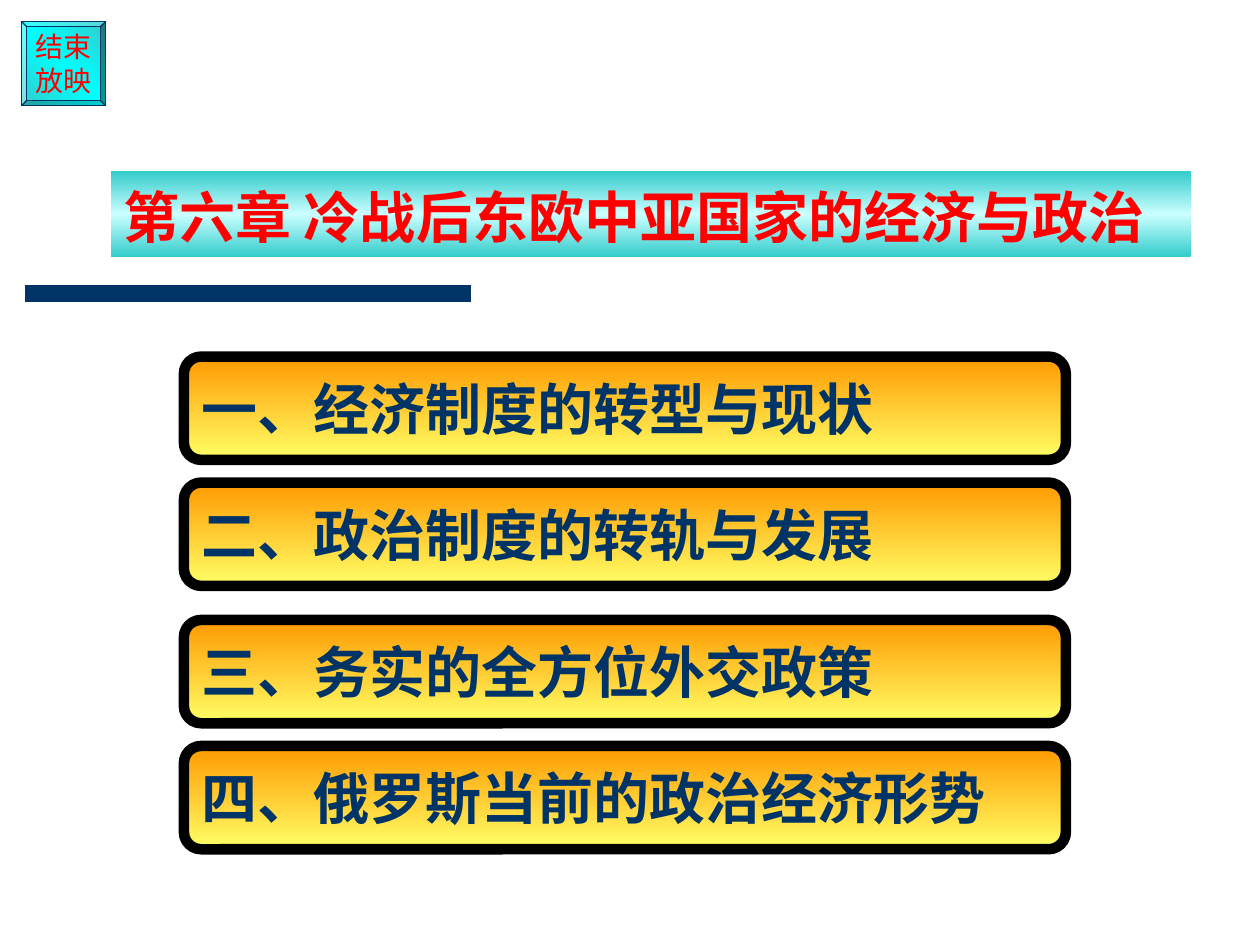
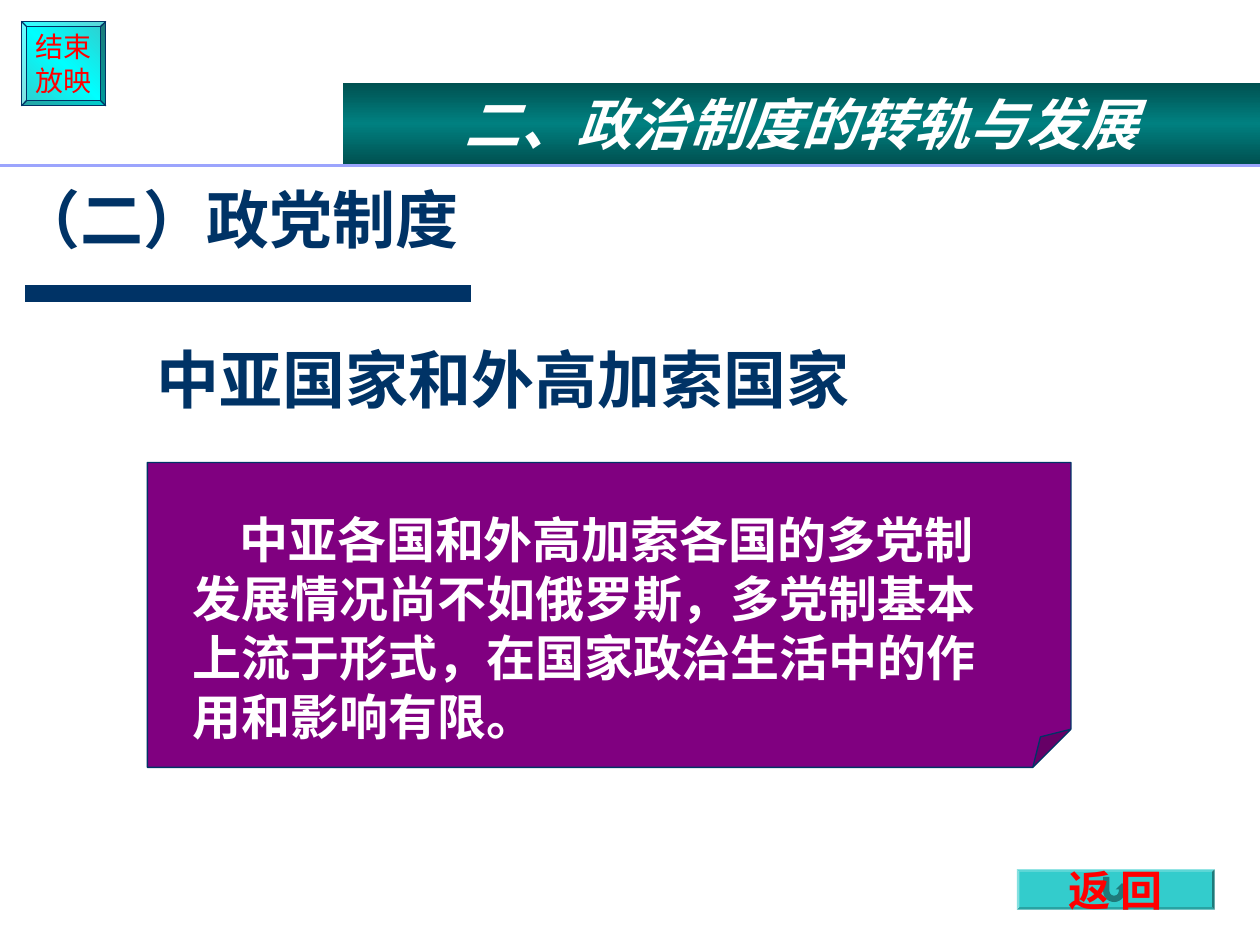
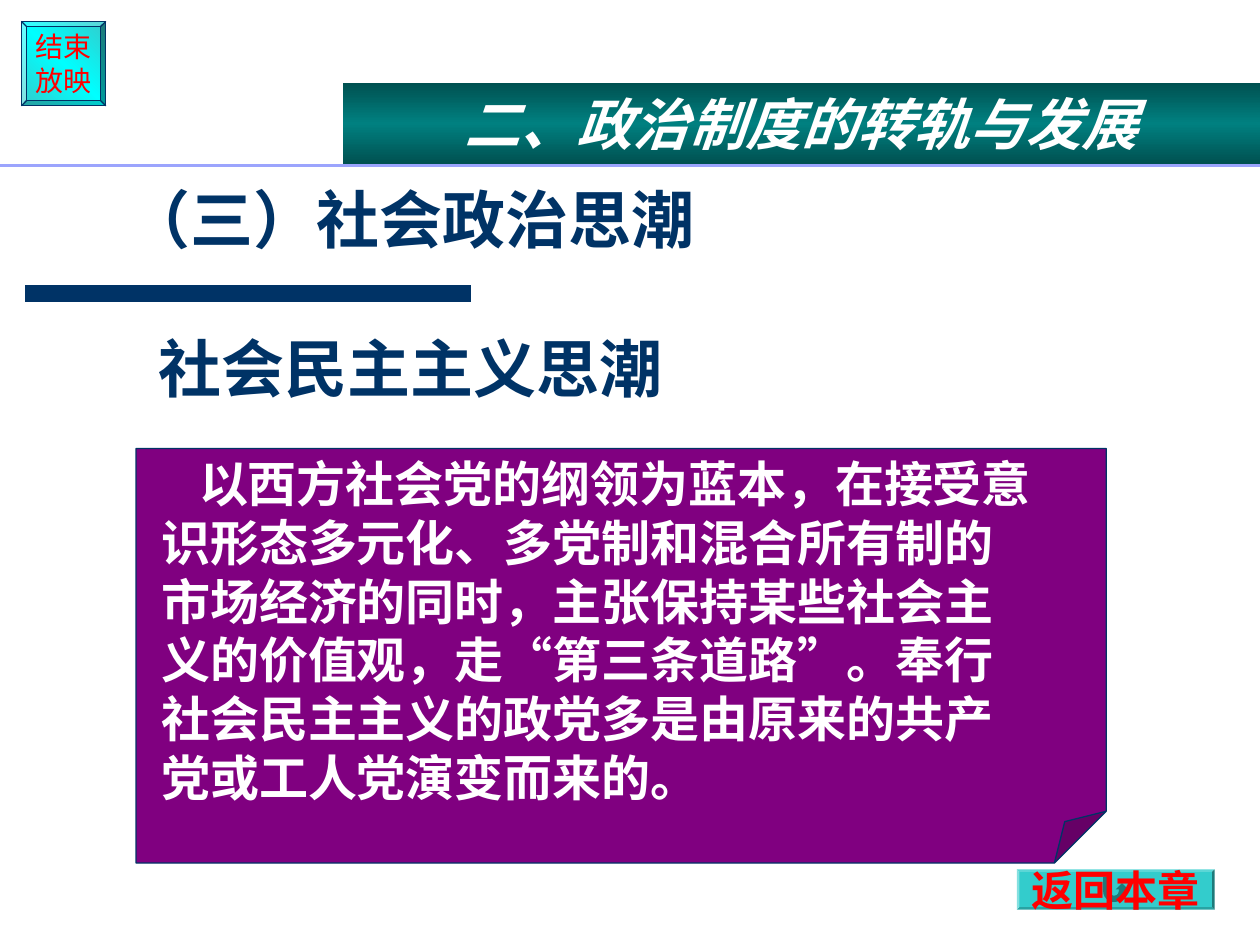
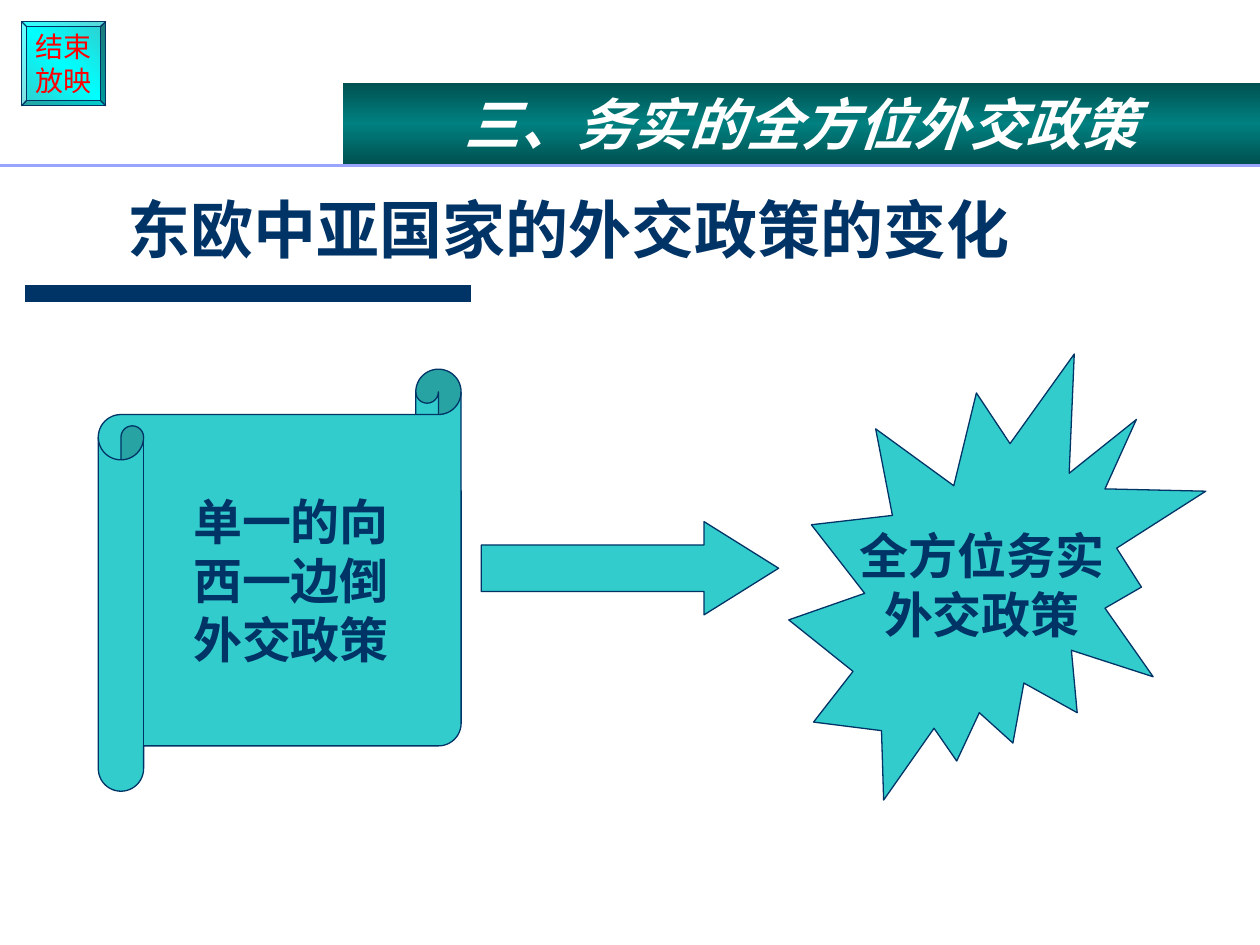
from copy import deepcopy

from lxml.etree import SubElement
from pptx import Presentation
from pptx.dml.color import RGBColor
from pptx.enum.shapes import MSO_CONNECTOR, MSO_SHAPE
from pptx.enum.text import MSO_ANCHOR, PP_ALIGN
from pptx.oxml.ns import qn
from pptx.util import Inches, Pt

NAVY = RGBColor(0x00, 0x33, 0x66)
TEAL = RGBColor(0x33, 0xCC, 0xCC)
DARK_TEAL = RGBColor(0x1F, 0x7A, 0x7A)
CYAN = RGBColor(0x00, 0xFF, 0xFF)
PALE_CYAN = RGBColor(0xCC, 0xFF, 0xFF)
BAND_EDGE = RGBColor(0x00, 0x51, 0x51)
BAND_MID = RGBColor(0x00, 0x80, 0x80)
ORANGE = RGBColor(0xFF, 0x99, 0x00)
YELLOW = RGBColor(0xFF, 0xFF, 0x66)
PURPLE = RGBColor(0x80, 0x00, 0x80)
PERIWINKLE = RGBColor(0x9B, 0xA4, 0xFD)
RED = RGBColor(0xFF, 0x00, 0x00)
WHITE = RGBColor(0xFF, 0xFF, 0xFF)
BLACK = RGBColor(0x00, 0x00, 0x00)

LATIN = "Arial"
CJK = "Noto Sans CJK SC"

SECTION_2 = "二、政治制度的转轨与发展"
SECTION_3 = "三、务实的全方位外交政策"
SECTIONS = ["一、经济制度的转型与现状", SECTION_2, SECTION_3, "四、俄罗斯当前的政治经济形势"]


# Shared helpers
def set_gradient(s, colors, angle):
    """Spread the colours evenly; angle is clockwise from left-to-right."""
    s.fill.gradient()
    s.fill.gradient_angle = 360 - angle
    stops = s._element.spPr.find(".//" + qn("a:gsLst"))
    for _ in colors[2:]:
        stops.append(deepcopy(stops[-1]))
    for i, (stop, color) in enumerate(zip(s.fill.gradient_stops, colors)):
        stop.position = i / (len(colors) - 1)
        stop.color.rgb = color


def set_adjustment(s, name, value):
    """Write a preset shape's guide, also where the library lists none."""
    guides = s._element.spPr.find(".//" + qn("a:avLst"))
    SubElement(guides, qn("a:gd"), name=name, fmla=f"val {round(value * 100000)}")


def add_box(slide, kind, box, fill, line=None, width=0.75, angle=90):
    s = slide.shapes.add_shape(kind, *map(Inches, box))
    s.shadow.inherit = False
    if isinstance(fill, list):
        set_gradient(s, fill, angle)
    else:
        s.fill.solid()
        s.fill.fore_color.rgb = fill
    if line is None:
        s.line.fill.background()
    else:
        s.line.color.rgb = line
        s.line.width = Pt(width)
    return s


def add_bevel(slide, box, fill, line=None, angle=90):
    s = add_box(slide, MSO_SHAPE.BEVEL, box, fill, line, angle=angle)
    guides = s._element.spPr.find(".//" + qn("a:avLst"))
    for guide in list(guides):
        guides.remove(guide)
    set_adjustment(s, "adj", 0.0625)
    return s


def set_text(s, lines, size, color, font=LATIN, bold=True, italic=False, align=PP_ALIGN.LEFT,
             anchor=MSO_ANCHOR.MIDDLE, wrap=True, spacing=None):
    tf = s.text_frame
    tf.word_wrap = wrap
    tf.vertical_anchor = anchor
    for i, line in enumerate(lines):
        p = tf.paragraphs[0] if i == 0 else tf.add_paragraph()
        p.text = line
        p.alignment = align
        p.line_spacing = spacing
        p.font.name = font
        p.font.size = Pt(size)
        p.font.bold = bold
        p.font.italic = italic
        p.font.color.rgb = color
    return tf


def add_rule(slide, x1, x2, y, color, width):
    s = slide.shapes.add_connector(MSO_CONNECTOR.STRAIGHT, *map(Inches, (x1, y, x2, y)))
    s.line.color.rgb = color
    s.line.width = Pt(width)
    SubElement(s._element.spPr, qn("a:effectLst"))


# Parts that recur on the slides
def new_slide(prs):
    slide = prs.slides.add_slide(prs.slide_layouts[6])
    add_rule(slide, 0.2, 3.74, 2.33, NAVY, 10)
    s = add_bevel(slide, (0.17, 0.17, 0.67, 0.67), [TEAL, CYAN, TEAL], NAVY, angle=135)
    set_text(s, ["结束", "放映"], 16, RED, bold=False, align=PP_ALIGN.CENTER, wrap=False)
    return slide


def add_section_band(slide, text):
    s = add_box(slide, MSO_SHAPE.RECTANGLE, (2.72, 0.66, 7.28, 0.64), [BAND_EDGE, BAND_MID, BAND_EDGE])
    set_text(s, [text], 32, WHITE, CJK, italic=True, align=PP_ALIGN.CENTER)
    add_rule(slide, 0, 10, 1.31, PERIWINKLE, 1.75)


def add_title(slide, text, left, top):
    s = slide.shapes.add_textbox(*map(Inches, (left, top, 8.51, 1.09)))
    set_text(s, [text], 36, NAVY, CJK, anchor=MSO_ANCHOR.BOTTOM, spacing=0.9)


def add_subtitle(slide, text, left, top, width, font):
    s = slide.shapes.add_textbox(*map(Inches, (left, top, width, 0.7)))
    set_text(s, [text], 36, NAVY, font, anchor=MSO_ANCHOR.TOP)


def add_note(slide, text, box, indent, inset_left=0.2, inset_top=0.05):
    s = add_box(slide, MSO_SHAPE.FOLDED_CORNER, box, PURPLE, NAVY)
    set_adjustment(s, "adj", 0.125)
    tf = set_text(s, [text], 28, WHITE, CJK)
    tf.margin_left, tf.margin_top, tf.margin_right = map(Inches, (inset_left, inset_top, 0.59))
    tf.paragraphs[0]._p.get_or_add_pPr().set("indent", str(Inches(indent)))


def add_return_button(slide, text):
    left, top, width, height = box = (8.07, 6.9, 1.57, 0.32)
    add_bevel(slide, box, TEAL)
    # Return arrow: a U-turn with its head pointing up
    icon = 0.2
    s = add_box(slide, MSO_SHAPE.U_TURN_ARROW,
                (left + (width - icon) / 2, top + (height - icon) / 2, icon, icon), DARK_TEAL)
    s._element.spPr.find(qn("a:xfrm")).set("flipV", "1")
    # Label above the arrow
    s = slide.shapes.add_textbox(*map(Inches, box))
    set_text(s, [text], 24, RED, align=PP_ALIGN.CENTER, wrap=False)


# Slide types
def chapter_slide(prs):
    slide = new_slide(prs)
    s = add_box(slide, MSO_SHAPE.RECTANGLE, (0.88, 1.36, 8.57, 0.68), [TEAL, PALE_CYAN, TEAL])
    set_text(s, ["第六章 冷战后东欧中亚国家的经济与政治"], 32, RED, CJK, anchor=MSO_ANCHOR.BOTTOM, spacing=0.9)
    for text, top in zip(SECTIONS, (2.83, 3.83, 4.92, 5.92)):
        s = add_box(slide, MSO_SHAPE.FLOWCHART_ALTERNATE_PROCESS, (1.46, top, 7, 0.82),
                    [ORANGE, YELLOW], BLACK, 6)
        set_text(s, [text], 32, NAVY, wrap=False)


def party_slide(prs):
    slide = new_slide(prs)
    add_title(slide, "（二）政党制度", 0.04, 1)
    add_note(slide, "中亚各国和外高加索各国的多党制发展情况尚不如俄罗斯，多党制基本上流于形式，"
             "在国家政治生活中的作用和影响有限。", (1.17, 3.67, 7.33, 2.42), 0.37, 0.36, 0.55)
    add_subtitle(slide, "中亚国家和外高加索国家", 1.14, 2.65, 6.85, LATIN)
    add_return_button(slide, "返 回")
    add_section_band(slide, SECTION_2)


def thought_slide(prs):
    slide = new_slide(prs)
    add_title(slide, "（三）社会政治思潮", 0.91, 1)
    add_note(slide, "以西方社会党的纲领为蓝本，在接受意识形态多元化、多党制和混合所有制的市场经济的同时，"
             "主张保持某些社会主义的价值观，走“第三条道路”。奉行社会民主主义的政党多是由原来的共产党"
             "或工人党演变而来的。", (1.08, 3.56, 7.7, 3.29), 0.3)
    add_subtitle(slide, "社会民主主义思潮", 1.16, 2.57, 5.33, CJK)
    add_return_button(slide, "返回本章")
    add_section_band(slide, SECTION_2)


def policy_slide(prs):
    slide = new_slide(prs)
    add_title(slide, "东欧中亚国家的外交政策的变化", 0.91, 1.08)
    # Change from one policy to the other
    before = add_box(slide, MSO_SHAPE.HORIZONTAL_SCROLL, (0.78, 2.93, 2.88, 3.35), TEAL, NAVY)
    arrow = add_box(slide, MSO_SHAPE.RIGHT_ARROW, (3.82, 4.14, 2.36, 0.74), TEAL, NAVY)
    arrow.adjustments[1] = 0.8
    after = add_box(slide, MSO_SHAPE.EXPLOSION2, (6.26, 2.81, 3.31, 3.54), TEAL, NAVY)
    for s, lines in ((before, ["单一的向", "西一边倒", "外交政策"]), (after, ["全方位务实", "外交政策"])):
        set_text(s, lines, 28, NAVY, align=PP_ALIGN.CENTER, wrap=False)
    add_section_band(slide, SECTION_3)


def main():
    prs = Presentation()
    prs.slide_width, prs.slide_height = Inches(10), Inches(7.5)
    for build in (chapter_slide, party_slide, thought_slide, policy_slide):
        build(prs)
    prs.save("out.pptx")


if __name__ == "__main__":
    main()
